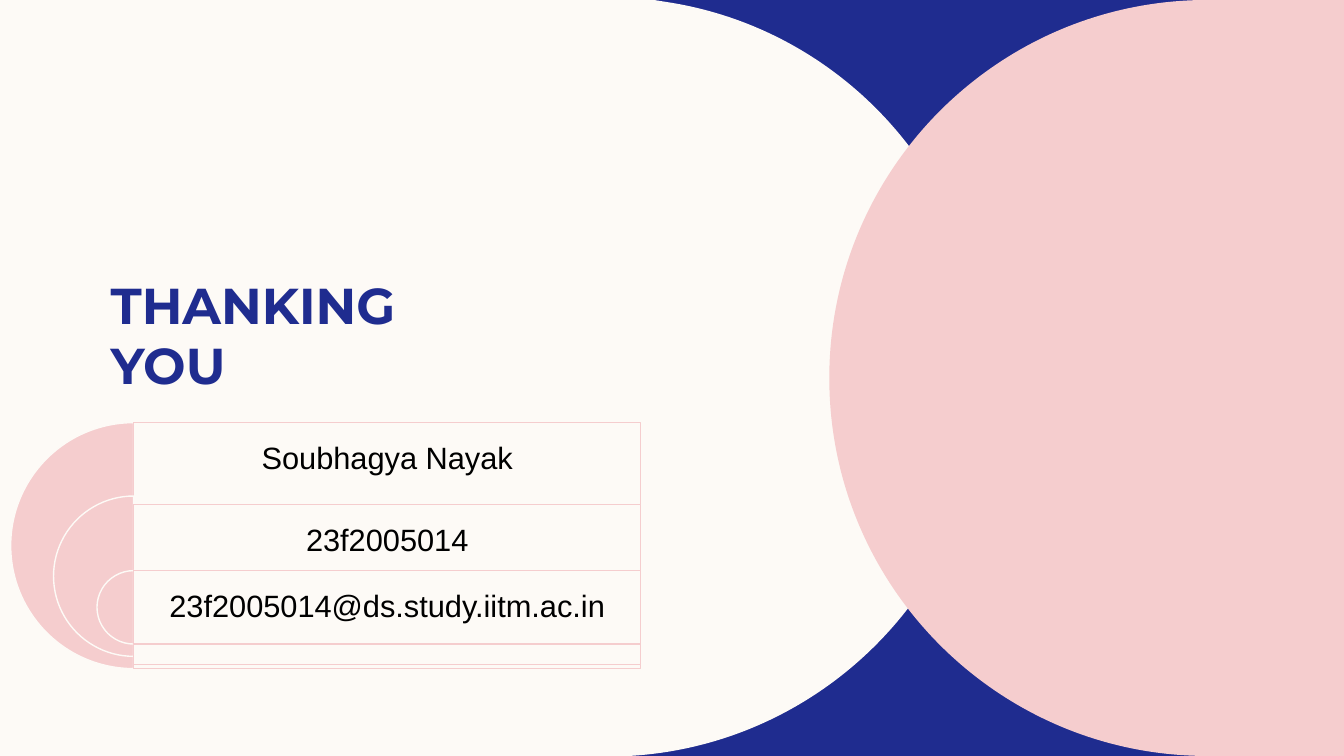
from lxml.etree import SubElement
from pptx import Presentation
from pptx.dml.color import RGBColor
from pptx.enum.shapes import MSO_SHAPE as Preset
from pptx.enum.text import MSO_ANCHOR as Anchor, PP_ALIGN as Align
from pptx.oxml.ns import qn
from pptx.util import Cm, Pt

TITLE = "THANKING \vYOU"
DETAILS = [
    {"line": "Soubhagya Nayak", "disc_top": 10.65, "box_top": 10.65, "size": 6.2},
    {"line": "23f2005014", "disc_top": 12.5, "box_top": 12.71, "size": 4.04},
    {"line": "23f2005014@ds.study.iitm.ac.in", "disc_top": 14.38, "box_top": 14.38, "size": 1.85},
]
COLOURS = {"navy": "1F2C8F", "cream": "FDFAF6", "pink": "F5CDCE", "black": "000000"}
SLIDE_W, SLIDE_H = 33.87, 19.05
BOX_LEFT, BOX_W, LINE_H = 3.37, 12.78, 1.85
MIDDLE = SLIDE_H / 2
OUTLINES = [
    {"fill": "cream", "start": (0, 0), "steps": [
        [(16.48, 0)],
        [(16.79, 0.05)],
        [(21.36, 0.74), (24.87, 4.7), (24.87, 9.5)],
        [(24.87, 14.61), (20.85, 18.77), (15.85, SLIDE_H)],
        [(15.34, SLIDE_H)],
        [(0, SLIDE_H)],
    ]},
    {"fill": "pink", "start": (30.43, 0), "steps": [
        [(SLIDE_W, 0)],
        [(SLIDE_W, SLIDE_H)],
        [(30.43, SLIDE_H)],
        [(25.17, SLIDE_H), (20.9, 14.78), (20.9, MIDDLE)],
        [(20.9, 4.27), (25.17, 0), (30.43, 0)],
    ]},
]


def colour(name):
    return RGBColor.from_string(COLOURS[name])


def paint(shape, fill, line=None):
    shape.shadow.inherit = False
    shape.fill.solid()
    shape.fill.fore_color.rgb = colour(fill)
    if line:
        shape.line.color.rgb = colour(line)
        shape.line.width = Pt(1)
    else:
        shape.line.fill.background()


def add_outline(fill, start, steps):
    builder = slide.shapes.build_freeform(*map(Cm, start))
    builder.add_line_segments([tuple(map(Cm, point)) for step in steps for point in step])
    outline = builder.convert_to_shape()
    paint(outline, fill)
    track = next(outline._element.iter(qn("a:path")))
    segments = iter(track.findall(qn("a:lnTo")))
    for step in steps:
        parts = [next(segments) for _ in step]
        if len(parts) == 3:
            curve = SubElement(track, qn("a:cubicBezTo"))
            parts[0].addprevious(curve)
            for part in parts:
                curve.append(part[0])
                track.remove(part)
    SubElement(track, qn("a:close"))


def add_text(words, box, size, font, ink, anchor, insets):
    frame = slide.shapes.add_textbox(*map(Cm, box)).text_frame
    frame.word_wrap = True
    frame.vertical_anchor = anchor
    frame.margin_left = frame.margin_right = Cm(insets[0])
    frame.margin_top = frame.margin_bottom = Cm(insets[1])
    paragraph = frame.paragraphs[0]
    paragraph.text = words
    paragraph.font.size = Pt(size)
    paragraph.font.name = font
    paragraph.font.color.rgb = colour(ink)
    return paragraph


def add_detail(line, disc_top, box_top, size):
    disc = slide.shapes.add_shape(
        Preset.PIE, *map(Cm, (BOX_LEFT - size / 2, disc_top, size, size)))
    disc.adjustments[0], disc.adjustments[1] = 54, 162
    paint(disc, "pink", "cream")

    panel = slide.shapes.add_shape(
        Preset.RECTANGLE, *map(Cm, (BOX_LEFT, box_top, BOX_W, size)))
    paint(panel, "cream", "pink")
    tint = panel._element.spPr.find(qn("a:solidFill"))[0]
    SubElement(tint, qn("a:alpha"), val="90000")

    label = add_text(line, (BOX_LEFT, box_top, BOX_W, LINE_H), 22, "Arial", "black",
                     Anchor.MIDDLE, (0.23, 0.23))
    label.alignment = Align.CENTER
    label.line_spacing = 0.9


prs = Presentation()
prs.slide_width, prs.slide_height = Cm(SLIDE_W), Cm(SLIDE_H)
slide = prs.slides.add_slide(prs.slide_layouts[6])
slide.background.fill.solid()
slide.background.fill.fore_color.rgb = colour("navy")

for outline in OUTLINES:
    add_outline(**outline)

title = add_text(TITLE, (2.54, 2.36, 15.88, 7.59), 36, "Montserrat", "navy",
                 Anchor.BOTTOM, (0.25, 0))
title.font.bold = True

for detail in DETAILS:
    add_detail(**detail)

prs.save("out.pptx")
